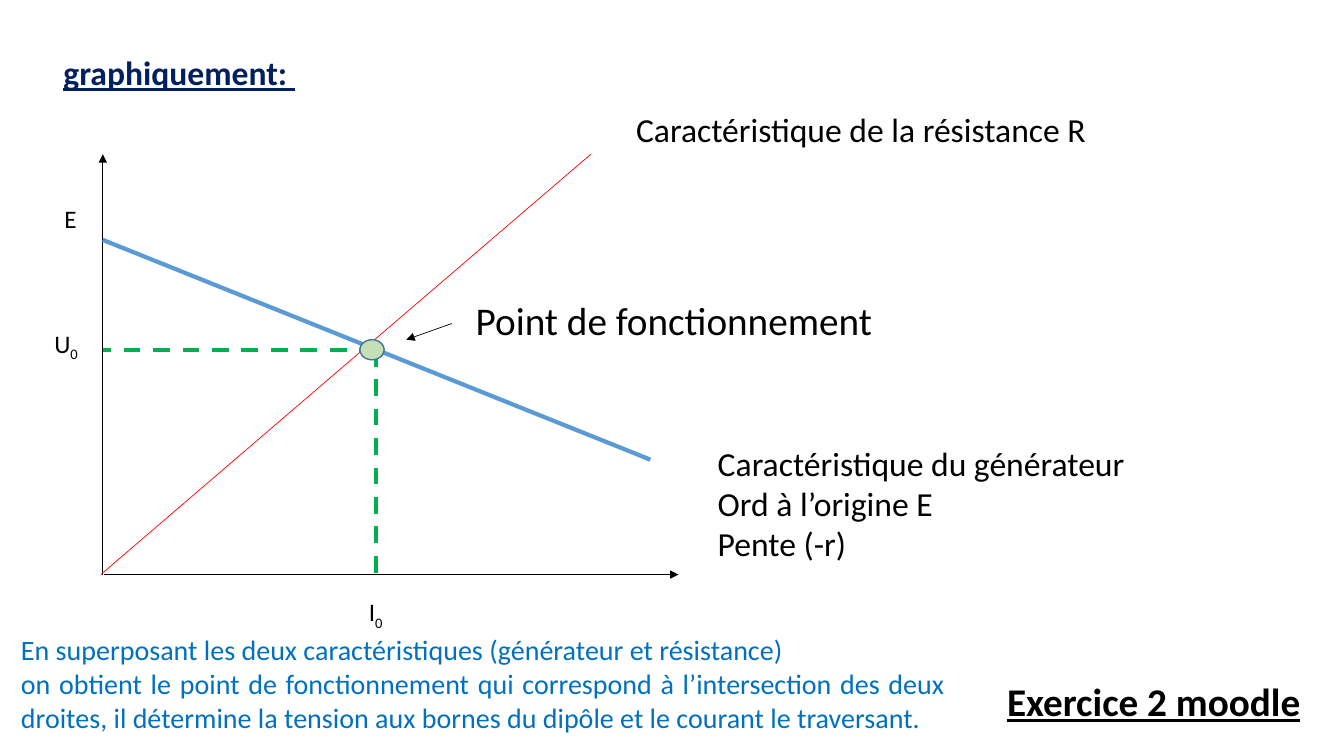
import pptx
import pptx.util
import pptx.dml.color
import pptx.enum.dml
import pptx.enum.shapes
import pptx.enum.text
import pptx.oxml.ns
from lxml import etree

RGBColor = pptx.dml.color.RGBColor
BLACK = RGBColor(0x00, 0x00, 0x00)
NAVY = RGBColor(0x00, 0x20, 0x60)
BLUE = RGBColor(0x00, 0x70, 0xC0)
GENERATOR = RGBColor(0x5B, 0x9B, 0xD5)
RESISTOR = RGBColor(0xFF, 0x00, 0x00)
GUIDE = RGBColor(0x00, 0xB0, 0x50)
POINT_FILL = RGBColor(0xC5, 0xE0, 0xB4)
POINT_LINE = RGBColor(0x43, 0x73, 0x9E)

EMU_PER_PX = 9144  # 100 px to the inch


def px(*lengths):
    return [pptx.util.Emu(length * EMU_PER_PX) for length in lengths]


class SlideBuilder:
    font = "Calibri"

    def __init__(self, slide):
        self.slide = slide

    def text(self, box, lines, size, color=BLACK, strong=False, wrap=False):
        """Each line is a string, or a (symbol, subscript) pair."""
        tf = self.slide.shapes.add_textbox(*px(*box)).text_frame
        tf.word_wrap = wrap
        tf.auto_size = pptx.enum.text.MSO_AUTO_SIZE.SHAPE_TO_FIT_TEXT
        for i, line in enumerate(lines):
            p = tf.add_paragraph() if i else tf.paragraphs[0]
            if wrap:
                p.alignment = pptx.enum.text.PP_ALIGN.JUSTIFY
            parts = (line,) if isinstance(line, str) else line
            for j, part in enumerate(parts):
                r = p.add_run()
                r.text = part
                f = r.font
                f.name, f.size = self.font, pptx.util.Pt(size)
                f.color.rgb = color
                if strong:
                    f.bold = f.underline = True
                if j:
                    f._element.set("baseline", "-25000")

    def line(self, start, end, color=BLACK, width=0.5, dash=False, arrow=False):
        sp = self.slide.shapes.add_connector(
            pptx.enum.shapes.MSO_CONNECTOR.STRAIGHT, *px(*start, *end))
        sp.line.color.rgb = color
        sp.line.width = pptx.util.Pt(width)
        if dash:
            sp.line.dash_style = pptx.enum.dml.MSO_LINE.DASH
        qn = pptx.oxml.ns.qn
        if arrow:
            ln = sp.line._get_or_add_ln()
            etree.SubElement(ln, qn("a:tailEnd"), type="triangle")
        etree.SubElement(sp._element.spPr, qn("a:effectLst"))

    def dot(self, box, fill, color):
        sp = self.slide.shapes.add_shape(
            pptx.enum.shapes.MSO_SHAPE.OVAL, *px(*box))
        sp.shadow.inherit = False
        sp.fill.solid()
        sp.fill.fore_color.rgb = fill
        sp.line.color.rgb = color
        sp.line.width = pptx.util.Pt(1)


def main():
    prs = pptx.Presentation()
    prs.slide_width, prs.slide_height = px(1333, 750)
    s = SlideBuilder(prs.slides.add_slide(prs.slide_layouts[6]))

    # Title
    s.text((53, 47, 252, 50), ["graphiquement: "], 24, NAVY, strong=True)

    # Axes
    axis_x, axis_y, top = 102, 570, 153
    s.line((axis_x, axis_y), (axis_x, top), arrow=True)
    s.line((103, axis_y), (673, axis_y), arrow=True)

    # Characteristics of the generator and the resistor
    s.line((axis_x, 238), (645, 456), GENERATOR, 3)
    s.line((100, axis_y), (586, top), RESISTOR)
    s.text((702, 434, 428, 131),
           ["Caractéristique du générateur", "Ord à l’origine E", "Pente (-r)"], 24)
    s.text((621, 103, 471, 50), ["Caractéristique de la résistance R"], 24)

    # Operating point, its guides and the axis values
    work = (373, 347)
    s.text((54, 197, 32, 40), ["E"], 18)
    for foot in ((axis_x, work[1]), (work[0], axis_y)):
        s.line(work, foot, GUIDE, 3, dash=True)
    s.text((356, 587, 35, 40), [("I", "0")], 18)
    s.text((44, 321, 45, 40), [("U", "0")], 18)
    s.dot((357, 337, 24, 20), POINT_FILL, POINT_LINE)
    s.text((462, 289, 418, 57), ["Point de fonctionnement"], 28)
    s.line((448, 321), (403, 337), arrow=True)

    # Conclusion and exercise
    s.text((11, 623, 936, 111), [
        "En superposant les deux caractéristiques (générateur et résistance) ",
        "on obtient le point de fonctionnement qui correspond à l’intersection "
        "des deux droites, il détermine la tension aux bornes du dipôle et le "
        "courant le traversant. "], 20, BLUE, wrap=True)
    s.text((989, 667, 314, 57), ["Exercice 2 moodle"], 28, strong=True)

    prs.save("out.pptx")


if __name__ == "__main__":
    main()
